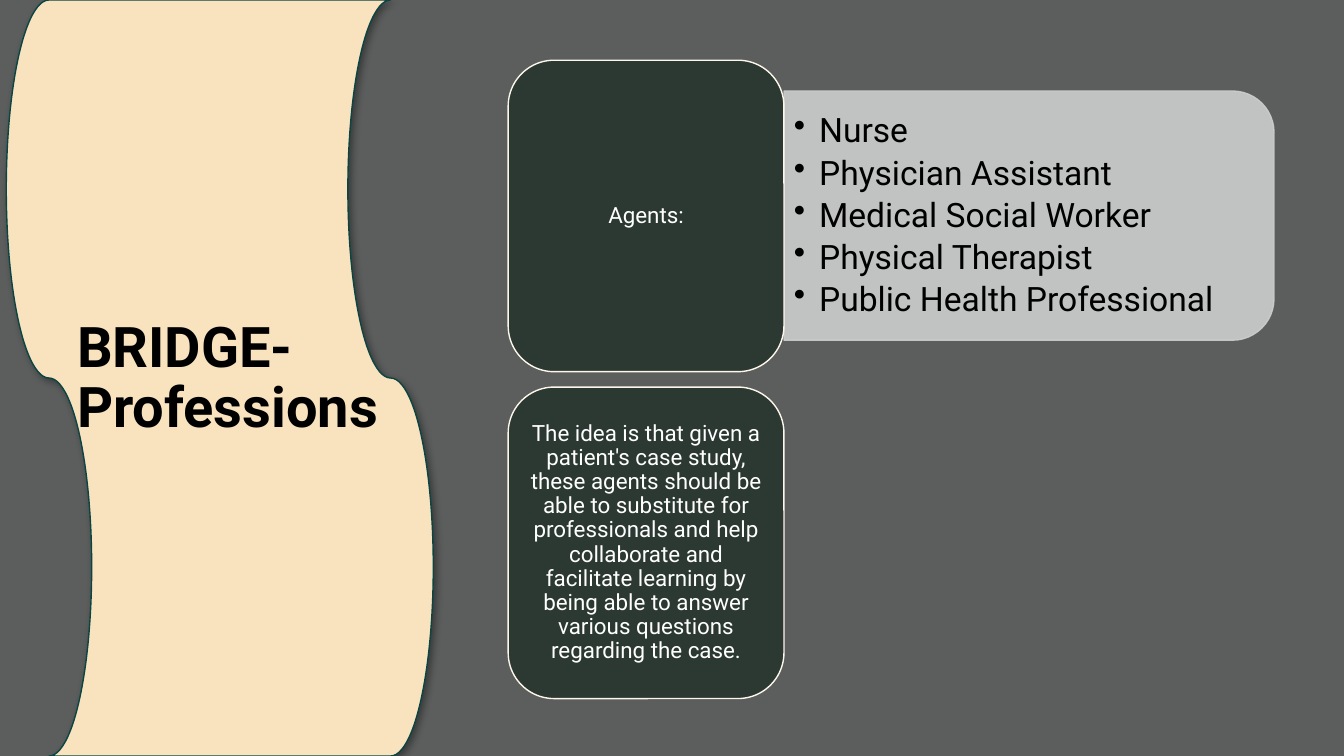
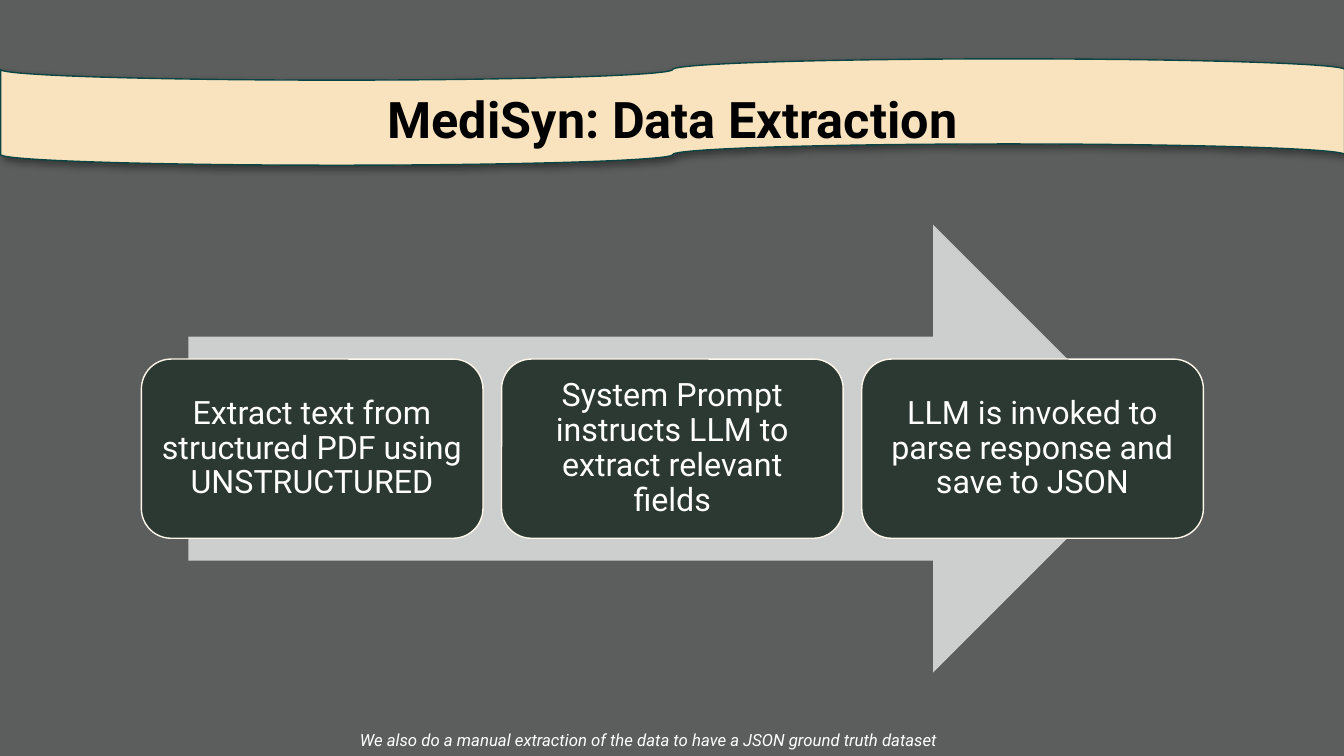
from dataclasses import dataclass

from lxml.etree import SubElement
from pptx import Presentation
from pptx.dml.color import RGBColor
from pptx.enum.shapes import MSO_SHAPE as SHAPE
from pptx.enum.text import MSO_ANCHOR as ANCHOR, PP_ALIGN as ALIGN
from pptx.oxml.ns import qn
from pptx.util import Pt


@dataclass(frozen=True)
class Theme:
    font: str = "Roboto"
    ground: str = "5C5E5E"
    ribbon: str = "F9E3BE"
    ribbon_line: str = "0A4443"
    card: str = "2C3932"
    card_line: str = "FDF6EA"
    pale: str = "CDCECE"
    dark: str = "000000"
    light: str = "FFFFFF"
    side_title: float = 40
    top_title: float = 36
    bullets: float = 24
    step: float = 23
    note: float = 16
    footnote: float = 12


T = Theme()


def rgb(color):
    return RGBColor.from_string(color)


def add_shape(slide, kind, box, fill, line=None, rotation=0):
    s = slide.shapes.add_shape(kind, *map(Pt, box))
    s.shadow.inherit = False
    s.rotation = rotation
    s.fill.solid()
    s.fill.fore_color.rgb = rgb(fill)
    if line:
        s.line.color.rgb = rgb(line)
        s.line.width = Pt(1)
    else:
        s.line.fill.background()
    return s


def set_opacity(s, percent):
    for color in s._element.spPr.iter(qn("a:srgbClr")):
        SubElement(color, qn("a:alpha"), val=str(percent * 1000))


def add_shadow(s):
    effects = s._element.spPr.find(qn("a:effectLst"))
    shadow = SubElement(effects, qn("a:outerShdw"), blurRad=str(Pt(5)),
                        dist=str(Pt(3)), dir=str(45 * 60000), algn="tl",
                        rotWithShape="0")
    color = SubElement(shadow, qn("a:srgbClr"), val=T.dark)
    SubElement(color, qn("a:alpha"), val="40000")


def write(s, lines, size, color=T.light, bold=False, italic=False,
          align=ALIGN.LEFT, anchor=ANCHOR.MIDDLE, insets=(7.2, 3.6),
          spacing=0.9, after=0, bullet=None):
    tf = s.text_frame
    tf.word_wrap = True
    tf.vertical_anchor = anchor
    tf.margin_left = tf.margin_right = Pt(insets[0])
    tf.margin_top = tf.margin_bottom = Pt(insets[1])
    for i, line in enumerate(lines):
        p = tf.add_paragraph() if i else tf.paragraphs[0]
        p.alignment = align
        p.line_spacing = spacing
        p.space_after = Pt(after)
        if bullet:
            pPr = p._p.get_or_add_pPr()
            pPr.set("marL", str(Pt(18)))
            pPr.set("indent", str(Pt(-18)))
            SubElement(pPr, qn("a:buChar"), char=bullet)
        r = p.add_run()
        r.text = line
        r.font.name = T.font
        r.font.size = Pt(size)
        r.font.color.rgb = rgb(color)
        r.font.bold = bold
        r.font.italic = italic


def add_text(slide, box, lines, size, **style):
    s = slide.shapes.add_textbox(*map(Pt, box))
    write(s, lines, size, **style)


def add_title(slide, box, text, size, align=ALIGN.LEFT):
    add_text(slide, box, [text], size, color=T.dark, bold=True, align=align)


def add_ribbon(slide, box, rotation):
    s = add_shape(slide, SHAPE.FLOWCHART_PUNCHED_TAPE, box, T.ribbon,
                  T.ribbon_line, rotation)
    add_shadow(s)


def add_card(slide, box, text, size, insets):
    s = add_shape(slide, SHAPE.ROUNDED_RECTANGLE, box, T.card, T.card_line)
    write(s, [text], size, align=ALIGN.CENTER, insets=insets)


def build_professions(slide):
    add_ribbon(slide, (-113, 117.5, 540, 305), 270)
    add_title(slide, (48, 43, 275, 456), "BRIDGE- Professions", T.side_title)

    panel = add_shape(slide, SHAPE.ROUND_2_SAME_RECTANGLE,
                      (646, -21, 178, 350), T.pale, T.pale, 90)
    set_opacity(panel, 90)
    agents = ["Nurse", "Physician Assistant", "Medical Social Worker",
              "Physical Therapist", "Public Health Professional"]
    add_text(slide, (560, 74, 341, 161), agents, T.bullets, color=T.dark,
             after=4.2, bullet="•")

    left, top, width, height, gap = 363, 43, 197, 222.5, 11
    notes = ["Agents:",
             "The idea is that given a patient's case study, these agents "
             "should be able to substitute for professionals and help "
             "collaborate and facilitate learning by being able to answer "
             "various questions regarding the case."]
    for i, note in enumerate(notes):
        add_card(slide, (left, top + i * (height + gap), width, height),
                 note, T.note, (4.8, 2.4))


def build_extraction(slide):
    add_ribbon(slide, (0.5, 42, 960, 76), 180)
    add_title(slide, (120, 43, 721, 89), "MediSyn: Data Extraction",
              T.top_title, ALIGN.CENTER)

    add_shape(slide, SHAPE.RIGHT_ARROW, (134.5, 160.5, 692, 320), T.pale)
    left, top, width, height, gap = 101, 256.5, 244, 128, 13.3
    steps = ["Extract text from structured PDF using UNSTRUCTURED",
             "System Prompt instructs LLM to extract relevant fields",
             "LLM is invoked to parse response and save to JSON"]
    for i, step in enumerate(steps):
        add_card(slide, (left + i * (width + gap), top, width, height),
                 step, T.step, (6.9, 6.9))

    add_text(slide, (250, 518, 461.5, 22),
             ["We also do a manual extraction of the data to have a JSON "
              "ground truth dataset"],
             T.footnote, italic=True, anchor=ANCHOR.TOP, spacing=1.0)


def main():
    prs = Presentation()
    prs.slide_width, prs.slide_height = Pt(960), Pt(540)
    ground = prs.slide_master.background.fill
    ground.solid()
    ground.fore_color.rgb = rgb(T.ground)
    for build in (build_professions, build_extraction):
        build(prs.slides.add_slide(prs.slide_layouts[6]))
    prs.save("out.pptx")


if __name__ == "__main__":
    main()
